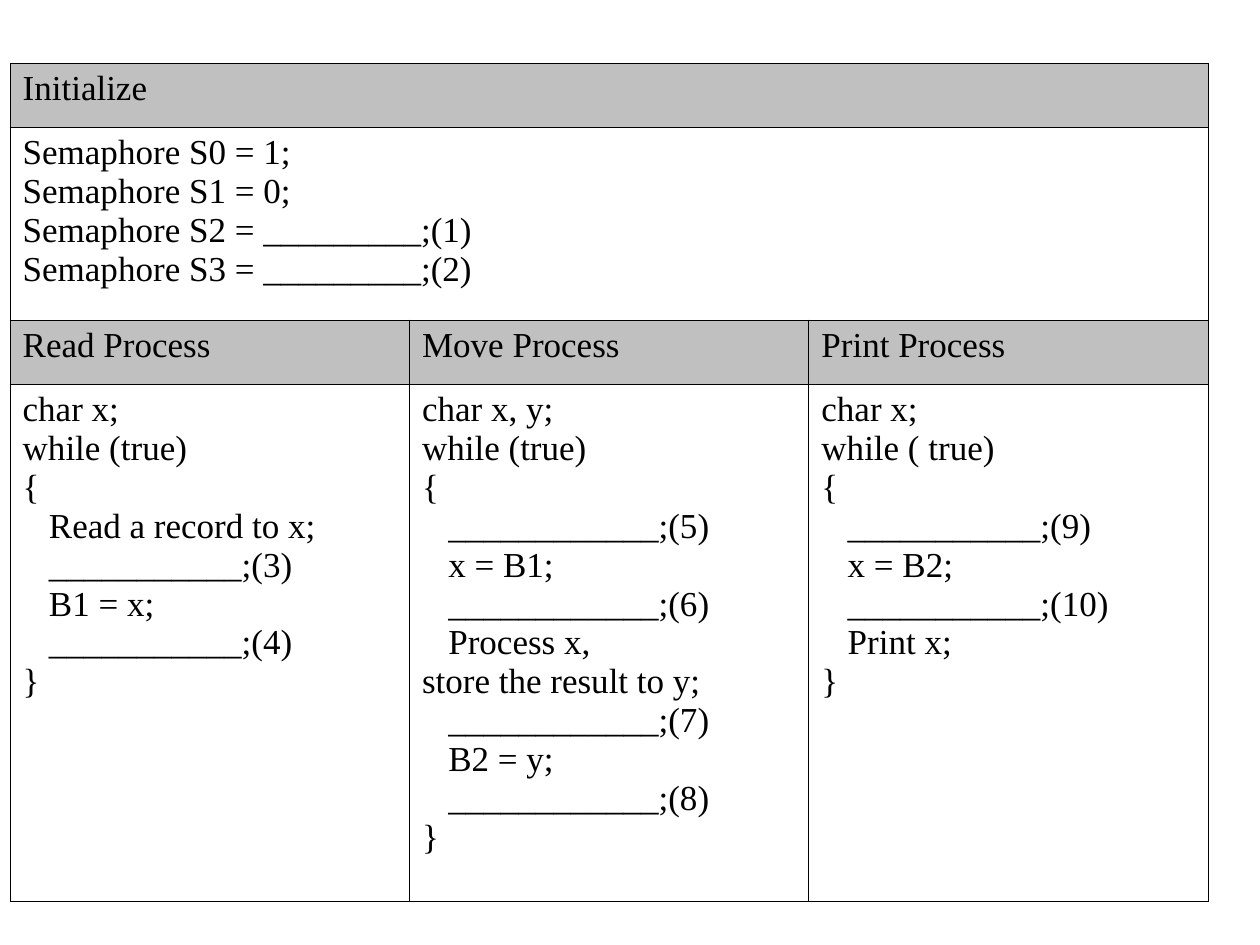
from dataclasses import dataclass

from lxml import etree
from pptx import Presentation
from pptx.dml.color import RGBColor
from pptx.oxml.ns import qn
from pptx.util import Emu, Pt

PX = 9144  # 100 px to the inch
FONT = "Times New Roman"
BLACK, GREY = "000000", "C0C0C0"
COLS = [317] * 3
ROWS = [51, 153, 51, 410]


@dataclass
class Block:
    row: int
    col: int
    text: str
    span: int = 1
    fill: str = ""


BLOCKS = [
    Block(0, 0, "Initialize", span=3, fill=GREY),
    Block(1, 0, """Semaphore S0 = 1;
Semaphore S1 = 0;
Semaphore S2 = _________;(1)
Semaphore S3 = _________;(2)""", span=3),
    Block(2, 0, "Read Process", fill=GREY),
    Block(2, 1, "Move Process", fill=GREY),
    Block(2, 2, "Print Process", fill=GREY),
    Block(3, 0, """char x;
while (true)
{
   Read a record to x;
   ___________;(3)
   B1 = x;
   ___________;(4)
}"""),
    Block(3, 1, """char x, y;
while (true)
{
   ____________;(5)
   x = B1;
   ____________;(6)
   Process x,
store the result to y;
   ____________;(7)
   B2 = y;
   ____________;(8)
}"""),
    Block(3, 2, """char x;
while ( true)
{
   ___________;(9)
   x = B2;
   ___________;(10)
   Print x;
}"""),
]


def px(size: int) -> Emu:
    return Emu(size * PX)


def rgb(color: str) -> RGBColor:
    return RGBColor.from_string(color)


def write(frame, text: str, *, size: int = 20, color: str = BLACK) -> None:
    frame.text = text
    for para in frame.paragraphs:
        for run in para.runs:
            run.font.name = FONT
            run.font.size = Pt(size)
            run.font.color.rgb = rgb(color)


def edge(cell, width: float = 0.45, color: str = BLACK) -> None:
    """Draw the four borders, which must precede the fill in the XML."""
    props = cell._tc.get_or_add_tcPr()
    for i, side in enumerate(("a:lnL", "a:lnR", "a:lnT", "a:lnB")):
        line = etree.Element(qn(side), w=str(Pt(width)))
        fill = etree.SubElement(line, qn("a:solidFill"))
        etree.SubElement(fill, qn("a:srgbClr"), val=color)
        props.insert(i, line)


def place(table, block: Block) -> None:
    cell = table.cell(block.row, block.col)
    if block.span > 1:
        cell.merge(table.cell(block.row, block.col + block.span - 1))
    write(cell.text_frame, block.text)
    if block.fill:
        cell.fill.solid()
        cell.fill.fore_color.rgb = rgb(block.fill)


def main() -> None:
    deck = Presentation()
    deck.slide_width, deck.slide_height = px(1000), px(750)
    slide = deck.slides.add_slide(deck.slide_layouts[6])

    # Table grid
    table = slide.shapes.add_table(
        len(ROWS), len(COLS), px(8), px(50), px(sum(COLS)), px(sum(ROWS))
    ).table
    table.first_row = table.horz_banding = False
    for col, width in zip(table.columns, COLS):
        col.width = px(width)
    for row, height in zip(table.rows, ROWS):
        row.height = px(height)

    # Plain cells with thin borders
    for cell in table.iter_cells():
        cell.fill.background()
        edge(cell)

    # Headings and code
    for block in BLOCKS:
        place(table, block)

    deck.save("out.pptx")


if __name__ == "__main__":
    main()
